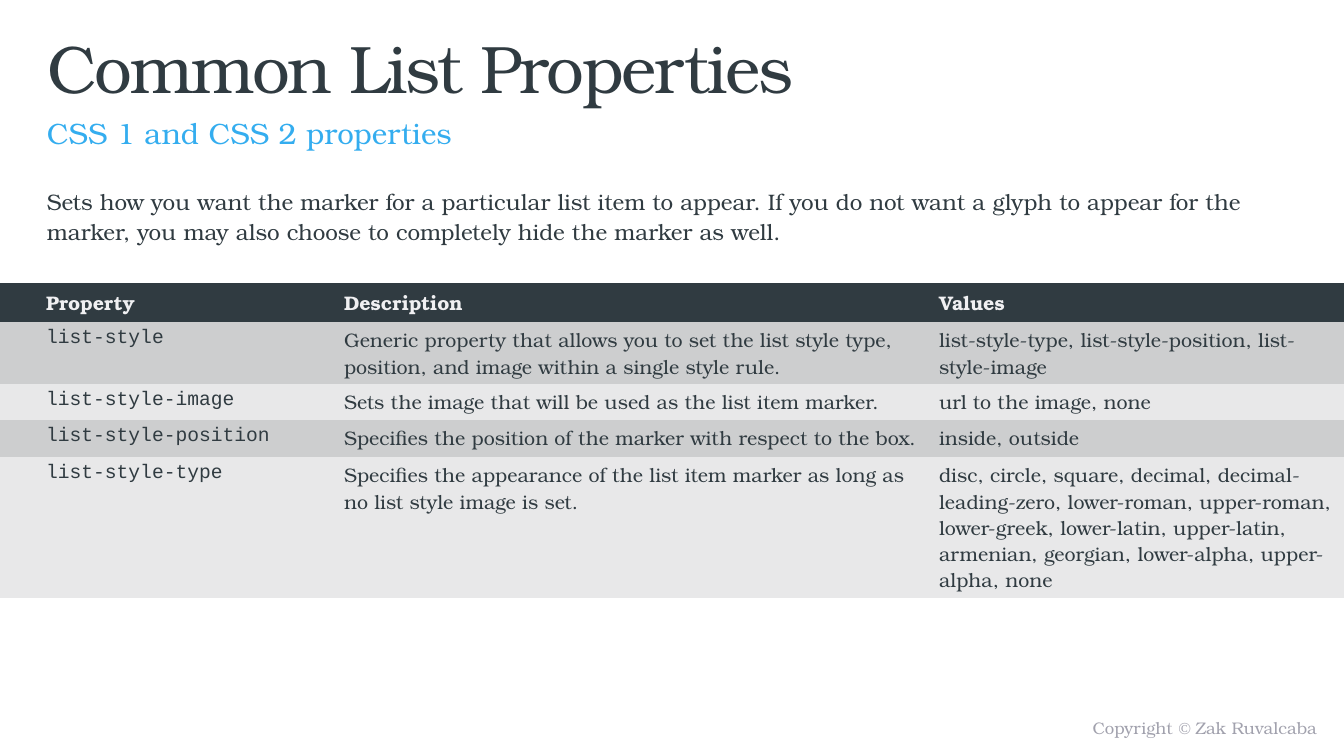
from pptx import Presentation
from pptx.dml.color import RGBColor
from pptx.enum.text import MSO_ANCHOR as Anchor, PP_ALIGN as Align
from pptx.util import Pt

SERIF, MONO, SYMBOL = "TeX Gyre Bonum", "Courier New", "Times New Roman"
DARK, BLUE, GREY, PALE = "303B41", "34ADEF", "A1A1AD", "F0F0F2"
BANDS = ("CDCECF", "E8E8E9")

# Content
TITLE = "Common List Properties"
SUBTITLE = "CSS 1 and CSS 2 properties"
INTRO = ("Sets how you want the marker for a particular list item to appear. "
         "If you do not want a glyph to appear for the marker, "
         "you may also choose to completely hide the marker as well.")
COPYRIGHT = (("Copyright ", SERIF), ("© ", SYMBOL), ("Zak Ruvalcaba", SERIF))
PROPERTIES = (
    ("Property", "Description", "Values"),
    ("list-style",
     "Generic property that allows you to set the list style type, position, "
     "and image within a single style rule.",
     "list-style-type, list-style-position, list-style-image"),
    ("list-style-image",
     "Sets the image that will be used as the list item marker.",
     "url to the image, none"),
    ("list-style-position",
     "Specifies the position of the marker with respect to the box.",
     "inside, outside"),
    ("list-style-type",
     "Specifies the appearance of the list item marker as long as "
     "no list style image is set.",
     "disc, circle, square, decimal, decimal-leading-zero, lower-roman, "
     "upper-roman, lower-greek, lower-latin, upper-latin, armenian, georgian, "
     "lower-alpha, upper-alpha, none"),
)
COLUMN_WIDTHS = (334, 595, 415)
ROW_HEIGHTS = (39, 62, 36, 37, 141)
TABLE_TOP, PROPERTY_INDENT = 283, 36
SLIDE_WIDTH, SLIDE_HEIGHT = 1344, 756
SCALE = 12192000 / SLIDE_WIDTH


def px(length):
    return round(length * SCALE)


def rgb(color):
    return RGBColor.from_string(color)


def style(run, size, color, font=SERIF, bold=False):
    run.font.name, run.font.size, run.font.bold = font, Pt(size), bold
    run.font.color.rgb = rgb(color)


def place(shape, left, top, width, height):
    shape.left, shape.top = px(left), px(top)
    shape.width, shape.height = px(width), px(height)


def add_text(area, parts, size, color, anchor=Anchor.TOP):
    box = slide.shapes.add_textbox(*map(px, area))
    box.text_frame.word_wrap = True
    box.text_frame.vertical_anchor = anchor
    line = box.text_frame.paragraphs[0]
    for words, font in parts:
        run = line.add_run()
        run.text = words
        style(run, size, color, font)
    return line


deck = Presentation()
deck.slide_width, deck.slide_height = px(SLIDE_WIDTH), px(SLIDE_HEIGHT)
slide = deck.slides.add_slide(deck.slide_layouts[5])

# Title, with tightened letters
title = slide.shapes.title
place(title, 37, 21, 1185, 80)
title.text_frame.text = TITLE
title.text_frame.word_wrap = True
title.text_frame.vertical_anchor = Anchor.TOP
heading = title.text_frame.paragraphs[0]
heading.alignment = Align.LEFT
style(heading.runs[0], 48, DARK)
heading.runs[0].font._element.set("spc", "-150")

# Subtitle, introduction and copyright line
subtitle = add_text((37, 100, 1185, 39), [(SUBTITLE, SERIF)], 21, BLUE)
subtitle.line_spacing = 1.3
intro = add_text((37, 179, 1278, 80), [(INTRO, SERIF)], 16, DARK)
intro.line_spacing, intro.space_before = 1.14, Pt(3)
footer = add_text((682, 712, 645, 31), COPYRIGHT, 12, GREY, Anchor.MIDDLE)
footer.alignment = Align.RIGHT

# Property table
table = slide.shapes.add_table(
    len(PROPERTIES), len(COLUMN_WIDTHS), 0, px(TABLE_TOP),
    px(sum(COLUMN_WIDTHS)), px(sum(ROW_HEIGHTS))).table
for column, width in zip(table.columns, COLUMN_WIDTHS):
    column.width = px(width)
for r, (entries, height) in enumerate(zip(PROPERTIES, ROW_HEIGHTS)):
    header = r == 0
    table.rows[r].height = px(height)
    for c, words in enumerate(entries):
        cell = table.cell(r, c)
        cell.fill.solid()
        cell.fill.fore_color.rgb = rgb(DARK if header else BANDS[(r - 1) % 2])
        cell.vertical_anchor = Anchor.MIDDLE if header else Anchor.TOP
        cell.text_frame.text = words
        line = cell.text_frame.paragraphs[0]
        if c == 0:
            line._p.get_or_add_pPr().set("marL", str(px(PROPERTY_INDENT)))
        style(line.runs[0], 14, PALE if header else DARK,
              MONO if c == 0 and not header else SERIF, header)

# The default table style draws white rules between cells: use the plain one
PLAIN_STYLE = "{2D5ABB26-0587-4C30-8999-92F81FD0307C}"
table._tbl.tblPr[0].text = PLAIN_STYLE

deck.save("out.pptx")
